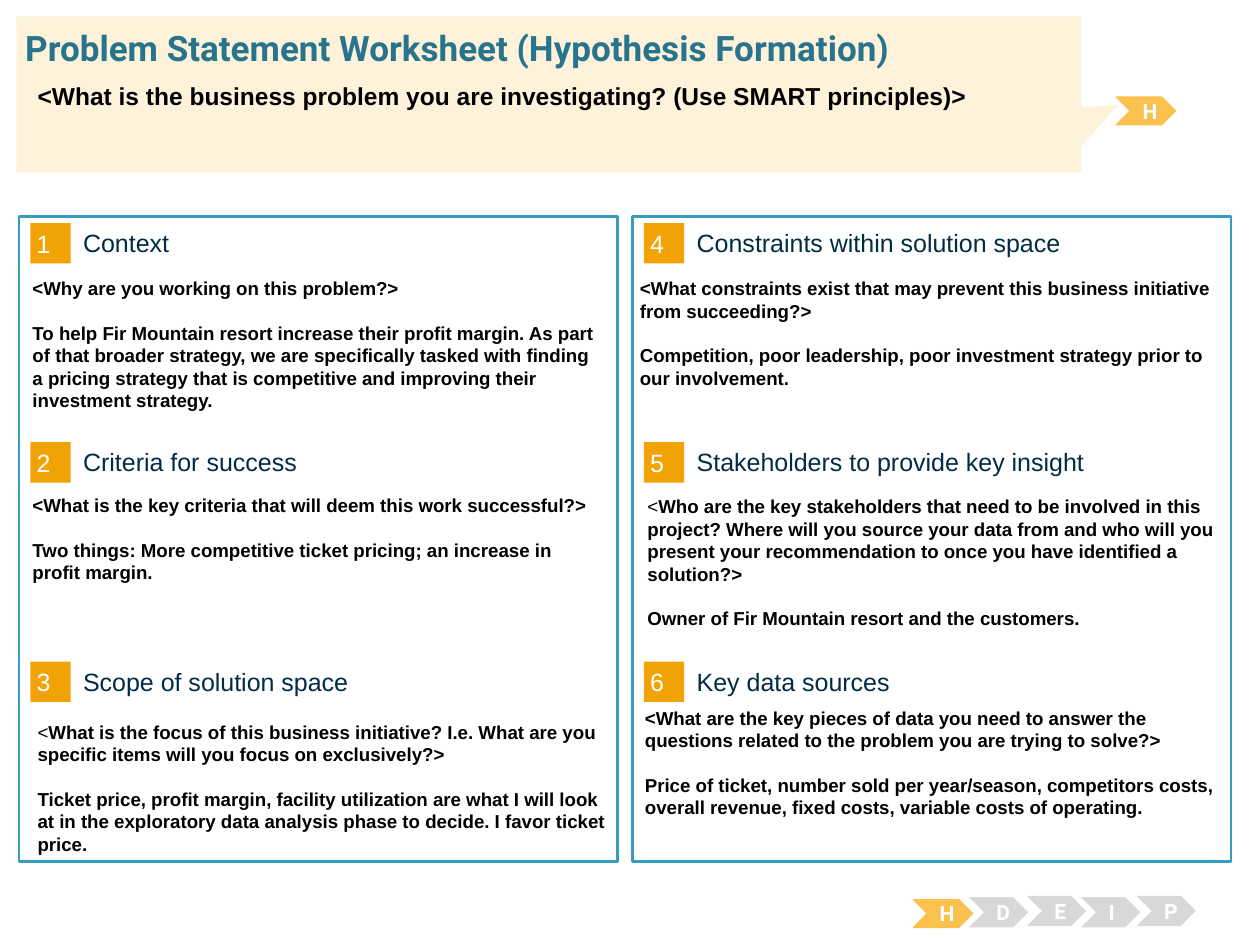
"""Build the problem statement worksheet slide."""
from pptx import Presentation
from pptx import util as u
from pptx.dml.color import RGBColor
from pptx.enum import shapes, text

C = {"white": "FFFFFF", "black": "000000", "border": "379BBD", "badge": "F1A205",
     "heading": "002C46", "title": "29748D", "banner": "FEF2DA",
     "active": "FBC14E", "idle": "D8D8D8"}
SHAPE = shapes.MSO_SHAPE
MIDDLE = text.MSO_ANCHOR.MIDDLE


def add_box(kind, x, y, w, h, fill, line=None, width=0.75):
    sp = s.shapes.add_shape(kind, *map(u.Inches, (x, y, w, h)))
    sp.shadow.inherit = False
    sp.fill.solid()
    sp.fill.fore_color.rgb = RGBColor.from_string(C[fill])
    if line:
        sp.line.color.rgb = RGBColor.from_string(C[line])
        sp.line.width = u.Pt(width)
    else:
        sp.line.fill.background()
    return sp


def set_text(sp, paragraphs, size, color, bold=False, font="Arial", inset=(0.1, 0.05),
             anchor=text.MSO_ANCHOR.TOP, align=text.PP_ALIGN.LEFT):
    tf = sp.text_frame
    tf.word_wrap = True
    tf.vertical_anchor = anchor
    tf.margin_left = tf.margin_right = u.Inches(inset[0])
    tf.margin_top = tf.margin_bottom = u.Inches(inset[1])
    tf.text = "\n".join(paragraphs)
    for p in tf.paragraphs:
        p.alignment = align
        p.font.size, p.font.bold, p.font.name = u.Pt(size), bold, font
        p.font.color.rgb = RGBColor.from_string(C[color])
    return tf


prs = Presentation()
prs.slide_width, prs.slide_height = u.Inches(10), u.Inches(7.5)
s = prs.slides.add_slide(prs.slide_layouts[5])

for x in (0.15, 5.02):
    add_box(SHAPE.RECTANGLE, x, 1.72, 4.75, 5.12, "white", "border", 1.5)

sections = [
    ("Context", 0.16, 2.15, False, "<Why are you working on this problem?>",
     "To help Fir Mountain resort increase their profit margin. As part of that broader "
     "strategy, we are specifically tasked with finding a pricing strategy that is "
     "competitive and improving their investment strategy."),
    ("Criteria for success", 0.16, 3.87, False,
     "<What is the key criteria that will deem this work successful?>",
     "Two things: More competitive ticket pricing; an increase in profit margin."),
    ("Scope of solution space", 0.2, 5.67, True,
     "<What is the focus of this business initiative? I.e. What are you specific items "
     "will you focus on exclusively?>",
     "Ticket price, profit margin, facility utilization are what I will look at in the "
     "exploratory data analysis phase to decide. I favor ticket price."),
    ("Constraints within solution space", 4.98, 2.15, False,
     "<What constraints exist that may prevent this business initiative from succeeding?>",
     "Competition, poor leadership, poor investment strategy prior to our involvement."),
    ("Stakeholders to provide key insight", 5.04, 3.88, True,
     "<Who are the key stakeholders that need to be involved in this project? Where will "
     "you source your data from and who will you present your recommendation to once you "
     "have identified a solution?>",
     "Owner of Fir Mountain resort and the customers."),
    ("Key data sources", 5.02, 5.56, False,
     "<What are the key pieces of data you need to answer the questions related to the "
     "problem you are trying to solve?>",
     "Price of ticket, number sold per year/season, competitors costs, overall revenue, "
     "fixed costs, variable costs of operating."),
]
for i, (heading, x, y, light_bracket, question, answer) in enumerate(sections):
    col, row = divmod(i, 3)
    left, top = 0.24 + 4.87 * col, 1.77 + 1.74 * row
    sp = add_box(SHAPE.RECTANGLE, left, top, 0.32, 0.32, "badge")
    set_text(sp, [str(i + 1)], 14.3, "white", inset=(0.05, 0.05), anchor=MIDDLE)
    sp = s.shapes.add_textbox(*map(u.Inches, (left + 0.42, top + 0.03, 3.93, 0.25)))
    set_text(sp, [heading], 14.3, "heading", inset=(0, 0), anchor=MIDDLE)
    sp = s.shapes.add_textbox(*map(u.Inches, (x, y, 4.73, 1.18)))
    tf = set_text(sp, [question, answer], 10.7, "black", bold=True)
    tf.paragraphs[1].space_before = u.Pt(12.6)
    if light_bracket:
        p = tf.paragraphs[0]
        p.runs[0].text = question[0]
        p.runs[0].font.bold = False
        p.add_run().text = question[1:]

chevrons = [("H", 7.25, 7.14), ("D", 7.69, 7.12), ("E", 8.15, 7.11),
            ("I", 8.58, 7.12), ("P", 9.02, 7.11), ("H", 8.86, 0.77)]
for letter, x, y in chevrons:
    if letter == "H":
        sp = add_box(SHAPE.CHEVRON, x, y, 0.47, 0.22, "active", "active")
    else:
        sp = add_box(SHAPE.CHEVRON, x, y, 0.47, 0.24, "idle")
    set_text(sp, [letter], 12, "white", True, "Roboto", anchor=MIDDLE,
             align=text.PP_ALIGN.CENTER)

sp = add_box(SHAPE.RECTANGULAR_CALLOUT, 0.13, 0.13, 8.45, 1.24, "banner")
sp.adjustments[0], sp.adjustments[1] = 0.535, 0.066

title = s.shapes.title
title.left, title.top, title.width, title.height = map(u.Inches, (0.2, 0.21, 9.62, 0.34))
set_text(title, ["Problem Statement Worksheet (Hypothesis Formation)"], 20, "title", True,
         "Roboto", inset=(0, 0), anchor=MIDDLE)
s.shapes._spTree.append(title._element)

sp = s.shapes.add_textbox(*map(u.Inches, (0.2, 0.59, 9.39, 0.54)))
set_text(sp, ["<What is the business problem you are investigating? (Use SMART principles)>"],
         14, "black", True)

prs.save("out.pptx")
